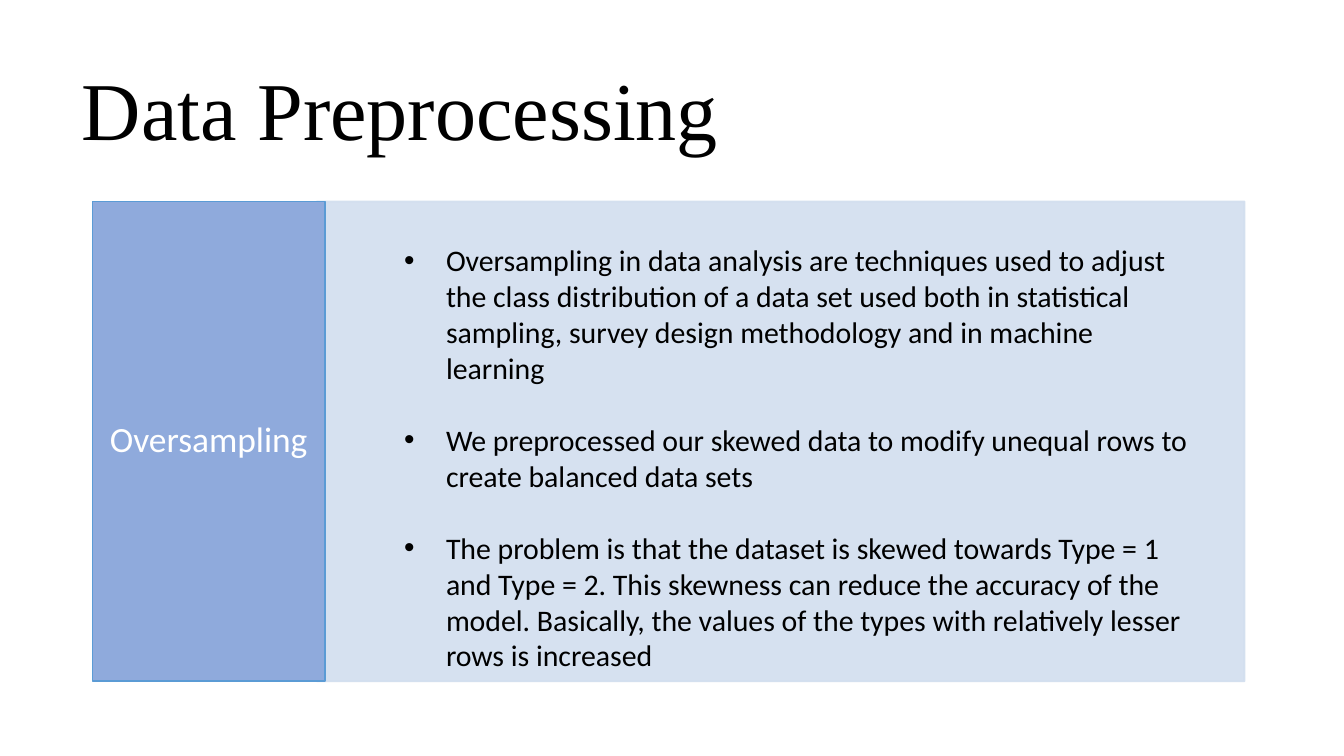
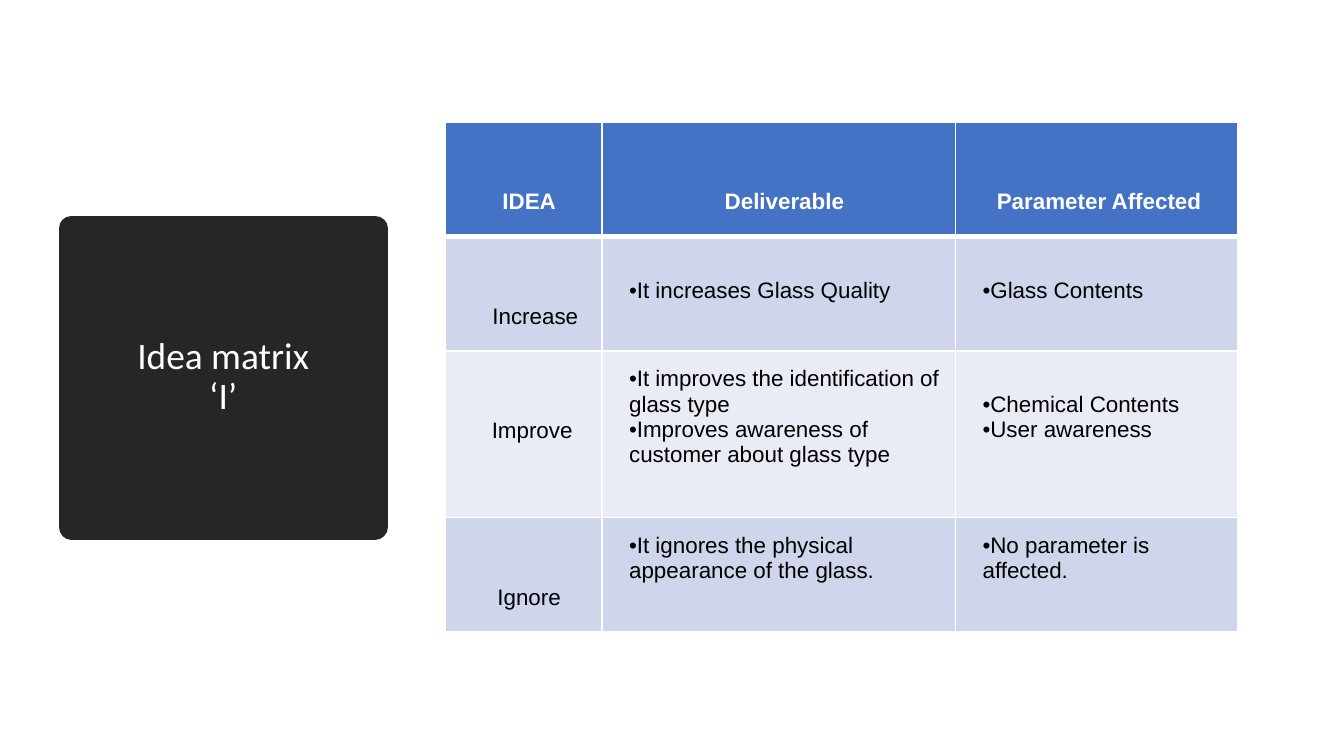
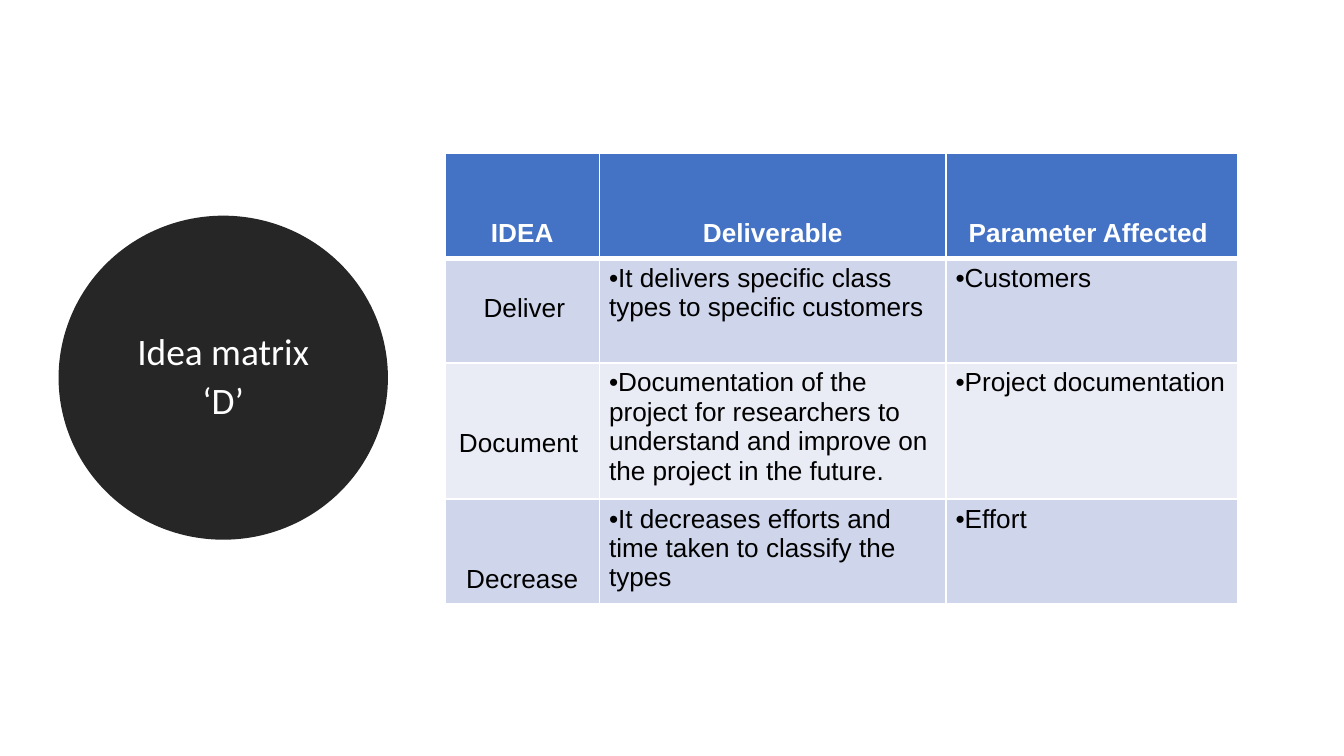
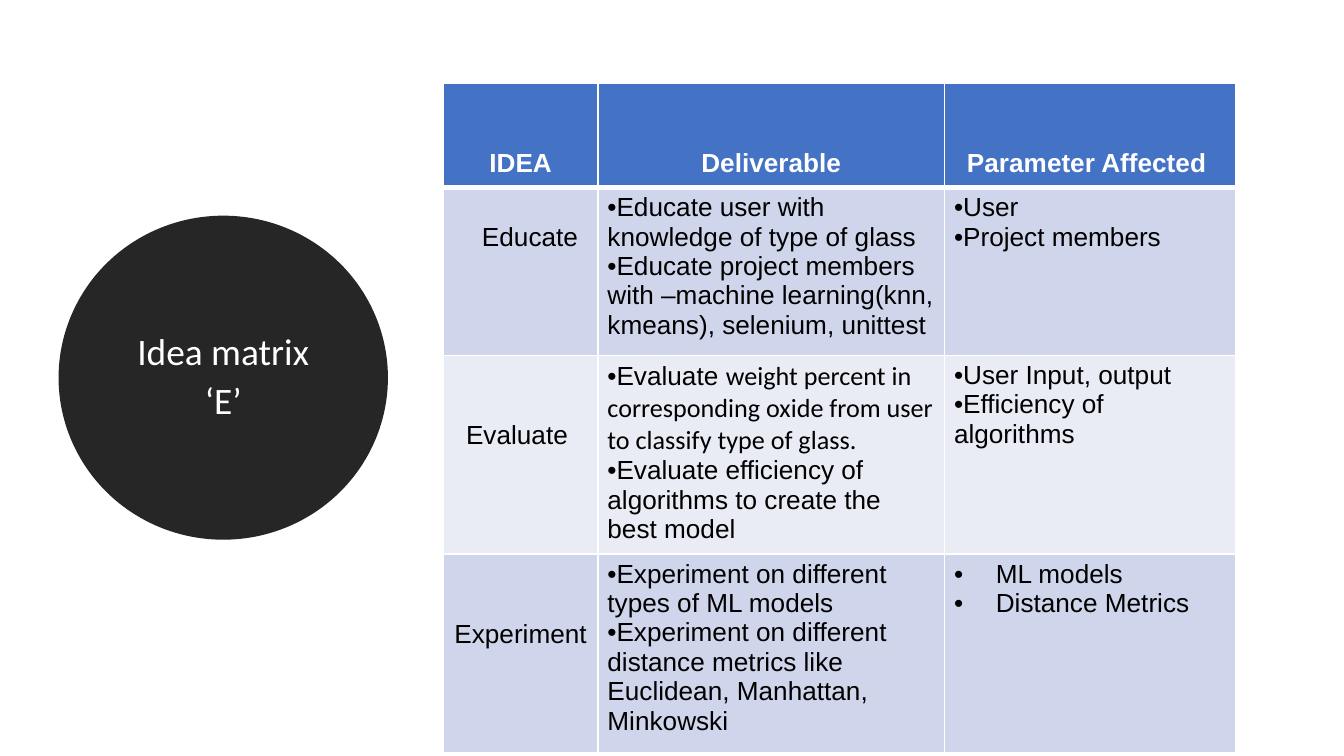
from lxml import etree
from pptx import Presentation
from pptx import util as u
from pptx.dml import color
from pptx.enum import shapes, text
from pptx.oxml import ns

COLORS = {
    "black": "000000", "white": "FFFFFF", "panel": "D2DEEF", "label": "8FAADC",
    "label_edge": "5B9BD5", "badge": "262626", "header": "4472C4",
    "odd_row": "CFD5EA", "even_row": "E9EBF5",
}
BODY_FONT, TABLE_FONT, TITLE_FONT = "Calibri", "Arial", "Times New Roman"
HEADINGS = ["IDEA", "Deliverable", "Parameter Affected"]
ARIAL_LINE, ARIAL_SPACE = 1.15, 0.278
CENTER, LEFT = text.PP_ALIGN.CENTER, text.PP_ALIGN.LEFT
BADGE_BOX = (1.35, 4.32, 5.74, 5.64)


def rgb(name):
    return color.RGBColor.from_string(COLORS[name])


def lengths(box):
    return [u.Cm(value) for value in box]


def child(parent, tag, **attributes):
    return etree.SubElement(parent, ns.qn(tag), attributes)


def style(paragraph, font, size, ink="black", bold=False, align=LEFT):
    paragraph.alignment = align
    paragraph.font.name = font
    paragraph.font.size = u.Pt(size)
    paragraph.font.bold = bold
    paragraph.font.color.rgb = rgb(ink)


def add_bullet(paragraph, hanging=0):
    properties = paragraph._p.get_or_add_pPr()
    properties.set("marL", str(u.Cm(hanging)))
    properties.set("indent", str(-u.Cm(hanging)))
    child(child(properties, "a:buClr"), "a:srgbClr", val=COLORS["black"])
    child(properties, "a:buFont", typeface="Arial")
    child(properties, "a:buChar", char="•")


def set_margins(holder, left, top, right, bottom):
    holder.margin_left, holder.margin_top = u.Cm(left), u.Cm(top)
    holder.margin_right, holder.margin_bottom = u.Cm(right), u.Cm(bottom)


def add_block(slide, kind, box, fill, edge, edge_width):
    block = slide.shapes.add_shape(kind, *lengths(box))
    block.shadow.inherit = False
    block.fill.solid()
    block.fill.fore_color.rgb = rgb(fill)
    block.line.color.rgb = rgb(edge)
    block.line.width = u.Pt(edge_width)
    block.text_frame.word_wrap = True
    block.text_frame.vertical_anchor = text.MSO_ANCHOR.MIDDLE
    return block


def add_title(slide, box, wording):
    frame = slide.shapes.add_textbox(*lengths(box)).text_frame
    frame.word_wrap = True
    frame.vertical_anchor = text.MSO_ANCHOR.MIDDLE
    title = frame.paragraphs[0]
    title.text = wording
    title.line_spacing = 0.9
    style(title, TITLE_FONT, 44)


def add_topic(slide, box, topic, points):
    left, top, width, height = box
    panel = add_block(slide, shapes.MSO_SHAPE.RECTANGLE,
                      (left + 4.24, top, width - 4.24, height), "panel", "panel", 1)
    for tint in panel._element.spPr.iter(ns.qn("a:srgbClr")):
        child(tint, "a:alpha", val="90000")

    label = add_block(slide, shapes.MSO_SHAPE.RECTANGLE,
                      (left, top, 4.39, height), "label", "label_edge", 1)
    set_margins(label.text_frame, 0.23, 0.89, 0.23, 0.89)
    name = label.text_frame.paragraphs[0]
    name.text = topic
    name.line_spacing = 0.9
    style(name, BODY_FONT, 19, "white", align=CENTER)

    frame = slide.shapes.add_textbox(
        *lengths((left + 5.64, top + 0.64, width - 6.43, height + 0.07))).text_frame
    frame.word_wrap = True
    for index, wording in enumerate(points):
        point = frame.add_paragraph() if index else frame.paragraphs[0]
        point.text = wording
        add_bullet(point, 0.79)
        if index:
            point.space_before = u.Pt(19.5)
        style(point, BODY_FONT, 16)


def add_badge(slide, box, letter, kind=shapes.MSO_SHAPE.OVAL, gap=4.5):
    badge = add_block(slide, kind, box, "badge", "badge", 13.75)
    child(badge.line._get_or_add_ln(), "a:round")
    frame = badge.text_frame
    set_margins(frame, 0.18, 0.1, 0.18, 0.1)
    for index, wording in enumerate(["Idea matrix", f"‘{letter}’"]):
        line = frame.add_paragraph() if index else frame.paragraphs[0]
        line.text = wording
        line.line_spacing = 0.9
        line.space_after = u.Pt(gap)
        style(line, BODY_FONT, 20, "white", align=CENTER)


def paint_cell(cell, fill, top_edge, bottom_edge):
    properties = cell._tc.get_or_add_tcPr()
    for side, width in (("L", 1), ("R", 1), ("T", top_edge), ("B", bottom_edge)):
        edge = child(properties, f"a:ln{side}", w=str(u.Pt(width)))
        child(child(edge, "a:solidFill"), "a:srgbClr", val=COLORS["white"])
    cell.fill.solid()
    cell.fill.fore_color.rgb = rgb(fill)


def pad_cell(cell, insets, size, lead=0, nudge=0):
    set_margins(cell, *insets)
    cell.margin_top += u.Pt(lead * size * ARIAL_LINE)
    shift = u.Pt(abs(nudge) * size * ARIAL_SPACE)
    if nudge > 0:
        cell.margin_left += shift
    else:
        cell.margin_right += shift


def write_points(cell, points, size, hanging):
    for index, wording in enumerate(points):
        point = cell.text_frame.add_paragraph() if index else cell.text_frame.paragraphs[0]
        add_bullet(point, hanging)
        style(point, TABLE_FONT, size)
        parts = [(wording, TABLE_FONT)] if isinstance(wording, str) else wording
        for words, font in parts:
            run = point.add_run()
            run.text = words
            if len(parts) > 1:
                run.font.name = font


def add_matrix(slide, corner, widths, heights, size, insets, ideas):
    box = (*corner, sum(widths), sum(heights))
    matrix = slide.shapes.add_table(len(heights), len(widths), *lengths(box)).table
    matrix.horz_banding = False
    for column, width in zip(matrix.columns, widths):
        column.width = u.Cm(width)
    for row, height in zip(matrix.rows, heights):
        row.height = u.Cm(height)

    for column, heading in enumerate(HEADINGS):
        cell = matrix.cell(0, column)
        paint_cell(cell, "header", 1, 3)
        pad_cell(cell, insets, size, 2, -1 if column == 2 else 0)
        cell.text = heading
        style(cell.text_frame.paragraphs[0], TABLE_FONT, size, "white", True, CENTER)

    for row, idea in enumerate(ideas, 1):
        cells = [matrix.cell(row, column) for column in range(len(widths))]
        for cell in cells:
            paint_cell(cell, "odd_row" if row % 2 else "even_row", 3 if row == 1 else 1, 1)
        name, lead, nudge, align = idea["label"]
        pad_cell(cells[0], insets, size, lead, nudge)
        cells[0].text = name
        style(cells[0].text_frame.paragraphs[0], TABLE_FONT, size, align=align)
        leads = idea.get("leads", (0, 0))
        hangings = (0, idea.get("hanging", 0))
        for cell, key, lead, hanging in zip(
                cells[1:], ("deliverables", "parameters"), leads, hangings):
            pad_cell(cell, insets, size, lead)
            write_points(cell, idea[key], size, hanging)


OVERSAMPLING = [
    "Oversampling in data analysis are techniques used to adjust the class distribution of a "
    "data set used both in statistical sampling, survey design methodology and in machine learning",
    "We preprocessed our skewed data to modify unequal rows to create balanced data sets",
    "The problem is that the dataset is skewed towards Type = 1 and Type = 2. This skewness can "
    "reduce the accuracy of the model. Basically, the values of the types with relatively lesser "
    "rows is increased",
]

I_IDEAS = [
    {"label": ("Increase", 2, 2, CENTER), "leads": (1, 1),
     "deliverables": ["It increases Glass Quality"],
     "parameters": ["Glass Contents"]},
    {"label": ("Improve", 2, 1, CENTER), "leads": (0, 1),
     "deliverables": ["It improves the identification of glass type",
                      "Improves awareness of customer about glass type"],
     "parameters": ["Chemical Contents", "User awareness"]},
    {"label": ("Ignore", 2, 0, CENTER),
     "deliverables": ["It ignores the physical appearance of the glass."],
     "parameters": ["No parameter is affected."]},
]

D_IDEAS = [
    {"label": ("Deliver", 1, 4, LEFT),
     "deliverables": ["It delivers specific class types to specific customers"],
     "parameters": ["Customers"]},
    {"label": ("Document", 2, -1, CENTER),
     "deliverables": ["Documentation of the project for researchers to understand and improve "
                      "on the project in the future."],
     "parameters": ["Project documentation"]},
    {"label": ("Decrease", 2, 0, CENTER),
     "deliverables": ["It decreases efforts and time taken to classify the types"],
     "parameters": ["Effort"]},
]

E_IDEAS = [
    {"label": ("Educate", 1, 4, LEFT),
     "deliverables": ["Educate user with knowledge of type of glass",
                      "Educate project members with –machine learning(knn, kmeans), "
                      "selenium, unittest"],
     "parameters": ["User", "Project members"]},
    {"label": ("Evaluate", 2, -1, CENTER),
     "deliverables": [[("Evaluate ", TABLE_FONT),
                       ("weight percent in corresponding oxide from user to classify type "
                        "of glass.", BODY_FONT)],
                      "Evaluate efficiency of algorithms to create the best model"],
     "parameters": ["User Input, output", "Efficiency of algorithms"]},
    {"label": ("Experiment", 2, 0, CENTER), "hanging": 0.79,
     "deliverables": ["Experiment on different types of ML models",
                      "Experiment on different distance metrics like Euclidean, Manhattan, "
                      "Minkowski"],
     "parameters": ["ML models", "Distance Metrics"]},
]


def main():
    deck = Presentation()
    deck.slide_width, deck.slide_height = u.Cm(25.4), u.Cm(14.29)
    blank = deck.slide_layouts[6]
    preprocessing, increase, deliver, educate = [deck.slides.add_slide(blank) for _ in range(4)]

    add_title(preprocessing, (1.3, 0.76, 22.35, 2.77), "Data Preprocessing")
    add_topic(preprocessing, (1.75, 3.81, 21.77, 9.07), "Oversampling", OVERSAMPLING)

    add_badge(increase, BADGE_BOX, "I", shapes.MSO_SHAPE.RECTANGLE, 0)
    add_matrix(increase, (8.41, 2.31), (2.97, 6.68, 5.33), (2.16, 2.16, 3.15, 2.16),
               12, (0.51, 0.3, 0.3, 0.3), I_IDEAS)

    for slide, letter, corner, heights, ideas in (
            (deliver, "D", (8.41, 2.9), (1.98, 1.98, 2.54, 1.98), D_IDEAS),
            (educate, "E", (8.38, 1.57), (1.98, 3.05, 3.61, 3.05), E_IDEAS)):
        add_badge(slide, BADGE_BOX, letter)
        add_matrix(slide, corner, (2.92, 6.55, 5.51), heights,
                   14, (0.18, 0.1, 0.18, 0.1), ideas)

    deck.save("out.pptx")


if __name__ == "__main__":
    main()
